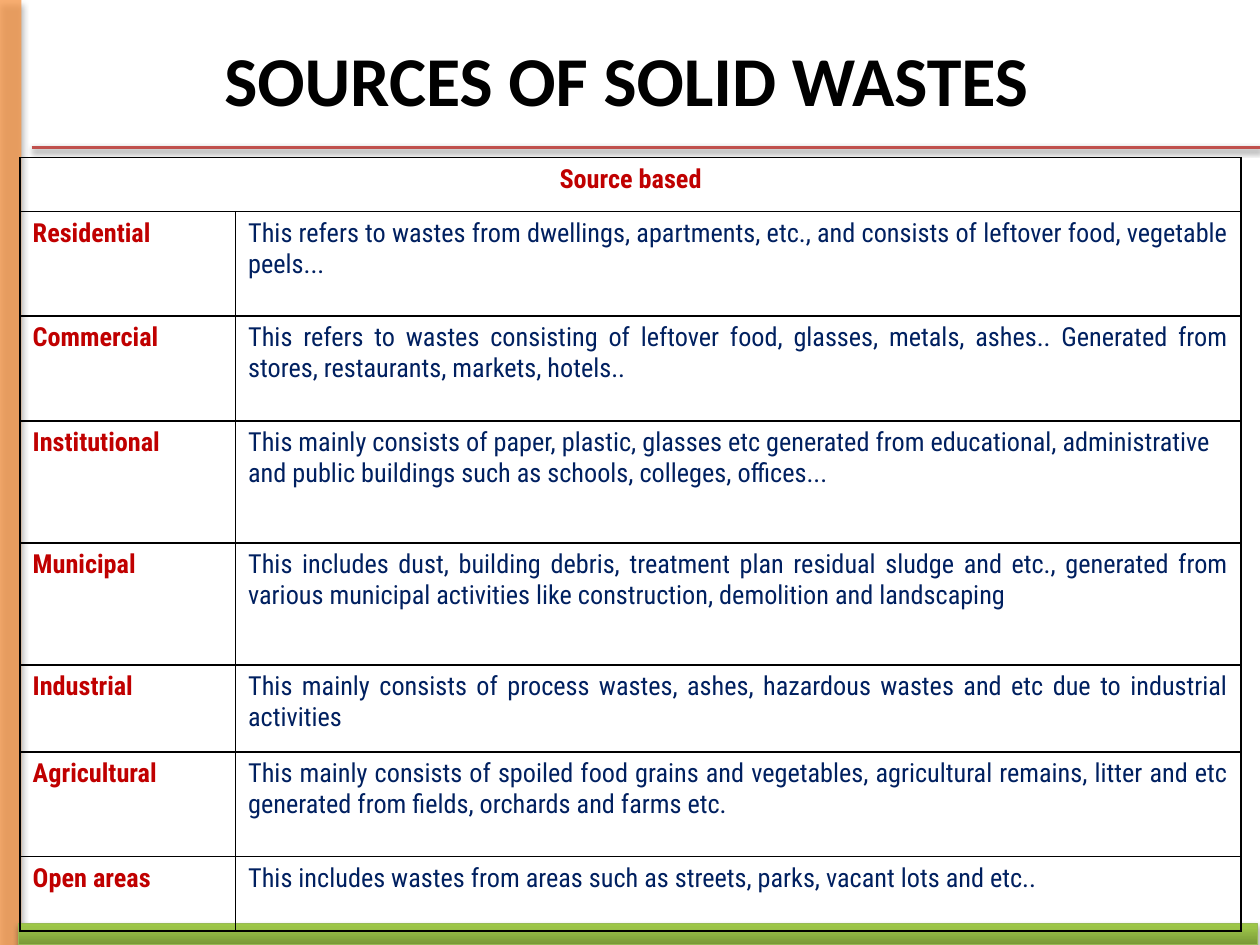
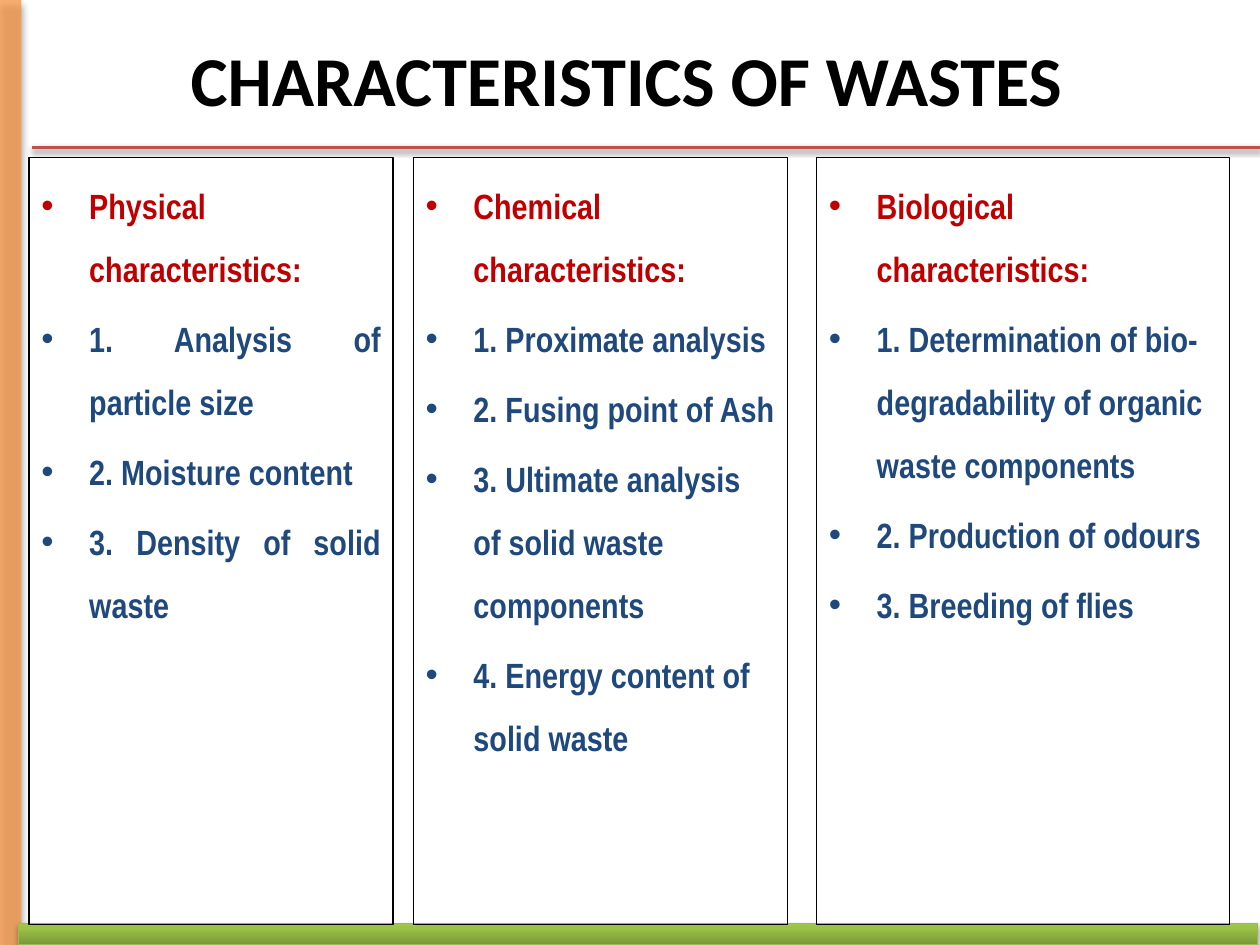
from lxml import etree
from pptx import Presentation
from pptx.dml.color import RGBColor
from pptx.enum.shapes import MSO_CONNECTOR, MSO_SHAPE
from pptx.enum.text import MSO_ANCHOR, PP_ALIGN
from pptx.oxml.ns import qn
from pptx.util import Inches, Pt

RECTANGLE = MSO_SHAPE.RECTANGLE
STRAIGHT = MSO_CONNECTOR.STRAIGHT
TOP, MIDDLE = MSO_ANCHOR.TOP, MSO_ANCHOR.MIDDLE
LEFT, CENTER, JUSTIFY = PP_ALIGN.LEFT, PP_ALIGN.CENTER, PP_ALIGN.JUSTIFY
TITLE_ONLY = 5

BLACK, RED, NAVY, BLUE = "000000", "C00000", "002060", "1F497D"
SIDE_ORANGE, RULE_RED, BAND_EDGE = "F79646", "C0504D", "98B955"
BAND_STOPS = [(0, "779737"), (80, "9BC348"), (100, "9DC746")]
TITLE_FONT, TABLE_FONT, LIST_FONT = "Calibri", "Roboto Condensed", "Arial Narrow"
CONTENT_TOP = 1.25

ROW_HEIGHTS = [0.43, 0.83, 0.83, 0.97, 0.97, 0.69, 0.83, 0.59]
COLUMN_WIDTHS = [1.71, 7.98]
SOURCES = [
    ("Residential", JUSTIFY, JUSTIFY,
     "This refers to wastes from dwellings, apartments, etc., and consists of "
     "leftover food, vegetable peels..."),
    ("Commercial", JUSTIFY, JUSTIFY,
     "This refers to wastes consisting of leftover food, glasses, metals, ashes.. "
     "Generated from stores, restaurants, markets, hotels.."),
    ("Institutional", LEFT, LEFT,
     "This mainly consists of paper, plastic, glasses etc generated from educational, "
     "administrative and public buildings such as schools, colleges, offices..."),
    ("Municipal", LEFT, JUSTIFY,
     "This includes dust, building debris, treatment plan residual sludge and etc., "
     "generated from various municipal activities like construction, demolition and "
     "landscaping"),
    ("Industrial", LEFT, JUSTIFY,
     "This mainly consists of process wastes, ashes, hazardous wastes and etc due to "
     "industrial activities"),
    ("Agricultural", LEFT, JUSTIFY,
     "This mainly consists of spoiled food grains and vegetables, agricultural remains, "
     "litter and etc generated from fields, orchards and farms etc."),
    ("Open areas", LEFT, JUSTIFY,
     "This includes wastes from areas such as streets, parks, vacant lots and etc.."),
]

CHARACTERISTICS = [
    (0.23, 2.89, JUSTIFY, "Physical characteristics:",
     ["Analysis of particle size", "Moisture content", "Density of solid waste"]),
    (3.28, 2.97, LEFT, "Chemical characteristics:",
     ["Proximate analysis", "Fusing point of Ash",
      "Ultimate analysis of solid waste components", "Energy content of solid waste"]),
    (6.48, 3.28, LEFT, "Biological characteristics:",
     ["Determination of bio-degradability of organic waste components",
      "Production of odours", "Breeding of flies"]),
]


def color(hex_code):
    return RGBColor.from_string(hex_code)


def add_element(parent, tag, **attributes):
    element = etree.SubElement(parent, qn(tag))
    for name, value in attributes.items():
        element.set(name, str(value))
    return element


def set_shadow(shape, opacity, blur, distance):
    """Give the shape a black shadow falling straight down."""
    properties = shape._element.spPr
    for effects in properties.findall(qn("a:effectLst")):
        properties.remove(effects)
    effects = add_element(properties, "a:effectLst")
    shadow = add_element(effects, "a:outerShdw", blurRad=Pt(blur), dist=Pt(distance),
                         dir=5400000, rotWithShape=0)
    shadow_color = add_element(shadow, "a:srgbClr", val=BLACK)
    add_element(shadow_color, "a:alpha", val=opacity * 1000)


def set_gradient(shape, stops):
    """Fill the shape with stops running from its bottom to its top."""
    shape.fill.gradient()
    shape.fill.gradient_angle = 90
    stop_list = shape._element.spPr.find(".//" + qn("a:gsLst"))
    for old_stop in list(stop_list):
        stop_list.remove(old_stop)
    for position, hex_code in stops:
        stop = add_element(stop_list, "a:gs", pos=position * 1000)
        add_element(stop, "a:srgbClr", val=hex_code)


def set_borders(cell):
    properties = cell._tc.get_or_add_tcPr()
    for side in ("a:lnL", "a:lnR", "a:lnT", "a:lnB"):
        line = add_element(properties, side, w=Pt(1))
        add_element(add_element(line, "a:solidFill"), "a:srgbClr", val=BLACK)


def set_bullet(paragraph, indent):
    properties = paragraph._p.get_or_add_pPr()
    properties.set("marL", str(indent))
    properties.set("indent", str(-indent))
    add_element(properties, "a:buFont", typeface="Arial")
    add_element(properties, "a:buChar", char="•")


class Deck:
    def __init__(self):
        self.presentation = Presentation()
        self.presentation.slide_width = Inches(10)
        self.presentation.slide_height = Inches(7.5)
        self.slide = None

    def add_slide(self, title):
        layout = self.presentation.slide_layouts[TITLE_ONLY]
        self.slide = self.presentation.slides.add_slide(layout)
        self.add_frame()
        self.add_title(title)

    def add_rectangle(self, left, top, width, height):
        shape = self.slide.shapes.add_shape(
            RECTANGLE, Inches(left), Inches(top), Inches(width), Inches(height))
        shape.shadow.inherit = False
        shape.fill.background()
        shape.line.fill.background()
        return shape

    def add_frame(self):
        """Draw the side band, the bottom band and the rule under the title."""
        side_band = self.add_rectangle(0, 0, 0.17, 7.5)
        side_band.fill.solid()
        side_band.fill.fore_color.rgb = color(SIDE_ORANGE)
        fill_color = side_band._element.spPr.find(
            qn("a:solidFill") + "/" + qn("a:srgbClr"))
        add_element(fill_color, "a:alpha", val=76000)
        set_shadow(side_band, 40, 4, 3)

        bottom_band = self.add_rectangle(0.15, 7.33, 9.83, 0.17)
        set_gradient(bottom_band, BAND_STOPS)
        bottom_band.line.color.rgb = color(BAND_EDGE)
        bottom_band.line.width = Pt(0.75)
        set_shadow(bottom_band, 35, 3.1, 1.8)

        rule = self.slide.shapes.add_connector(
            STRAIGHT, Inches(0.25), Inches(1.17), Inches(10), Inches(1.17))
        rule.line.color.rgb = color(RULE_RED)
        rule.line.width = Pt(2)
        set_shadow(rule, 38, 3.1, 1.6)

    def add_title(self, text):
        title = self.slide.shapes.title
        title.left, title.top = Inches(0.47), Inches(0)
        title.width, title.height = Inches(9), Inches(1.25)
        title.text_frame.vertical_anchor = MIDDLE
        self.add_text(title.text_frame.paragraphs[0], text, TITLE_FONT, 40, BLACK, CENTER)

    def add_text(self, paragraph, text, font_name, size, hex_code, alignment, bold=True):
        paragraph.alignment = alignment
        run = paragraph.add_run()
        run.text = text
        run.font.name = font_name
        run.font.size = Pt(size)
        run.font.bold = bold
        run.font.color.rgb = color(hex_code)

    def add_source_table(self, heading, sources):
        table = self.slide.shapes.add_table(
            len(ROW_HEIGHTS), len(COLUMN_WIDTHS), Inches(0.16), Inches(CONTENT_TOP),
            Inches(sum(COLUMN_WIDTHS)), Inches(sum(ROW_HEIGHTS))).table
        table.first_row = table.horz_banding = False
        for column, width in zip(table.columns, COLUMN_WIDTHS):
            column.width = Inches(width)
        for row, height in zip(table.rows, ROW_HEIGHTS):
            row.height = Inches(height)
        for cell in table.iter_cells():
            set_borders(cell)
            cell.fill.background()
        table.cell(0, 0).merge(table.cell(0, 1))
        self.add_cell_text(table.cell(0, 0), heading, RED, CENTER)
        for row, (name, name_alignment, alignment, description) in enumerate(sources, 1):
            self.add_cell_text(table.cell(row, 0), name, RED, name_alignment)
            self.add_cell_text(table.cell(row, 1), description, NAVY, alignment, bold=False)

    def add_cell_text(self, cell, text, hex_code, alignment, bold=True):
        self.add_text(cell.text_frame.paragraphs[0], text, TABLE_FONT, 15,
                      hex_code, alignment, bold)

    def add_list_box(self, left, width, alignment, heading, items):
        box = self.add_rectangle(left, CONTENT_TOP, width, 6.09)
        box.line.color.rgb = color(BLACK)
        box.line.width = Pt(0.75)
        frame = box.text_frame
        frame.word_wrap = True
        frame.vertical_anchor = TOP
        lines = [heading] + [f"{number}. {item}" for number, item in enumerate(items, 1)]
        for index, text in enumerate(lines):
            paragraph = frame.add_paragraph() if index else frame.paragraphs[0]
            set_bullet(paragraph, Inches(0.38))
            paragraph.line_spacing = 1.5
            paragraph.space_before = Pt(4 if index else 0)
            self.add_text(paragraph, text, LIST_FONT, 20, BLUE if index else RED, alignment)


def main():
    deck = Deck()
    deck.add_slide("SOURCES OF SOLID WASTES")
    deck.add_source_table("Source based", SOURCES)

    deck.add_slide("CHARACTERISTICS OF WASTES")
    for characteristic in CHARACTERISTICS:
        deck.add_list_box(*characteristic)

    deck.presentation.save("out.pptx")


if __name__ == "__main__":
    main()
